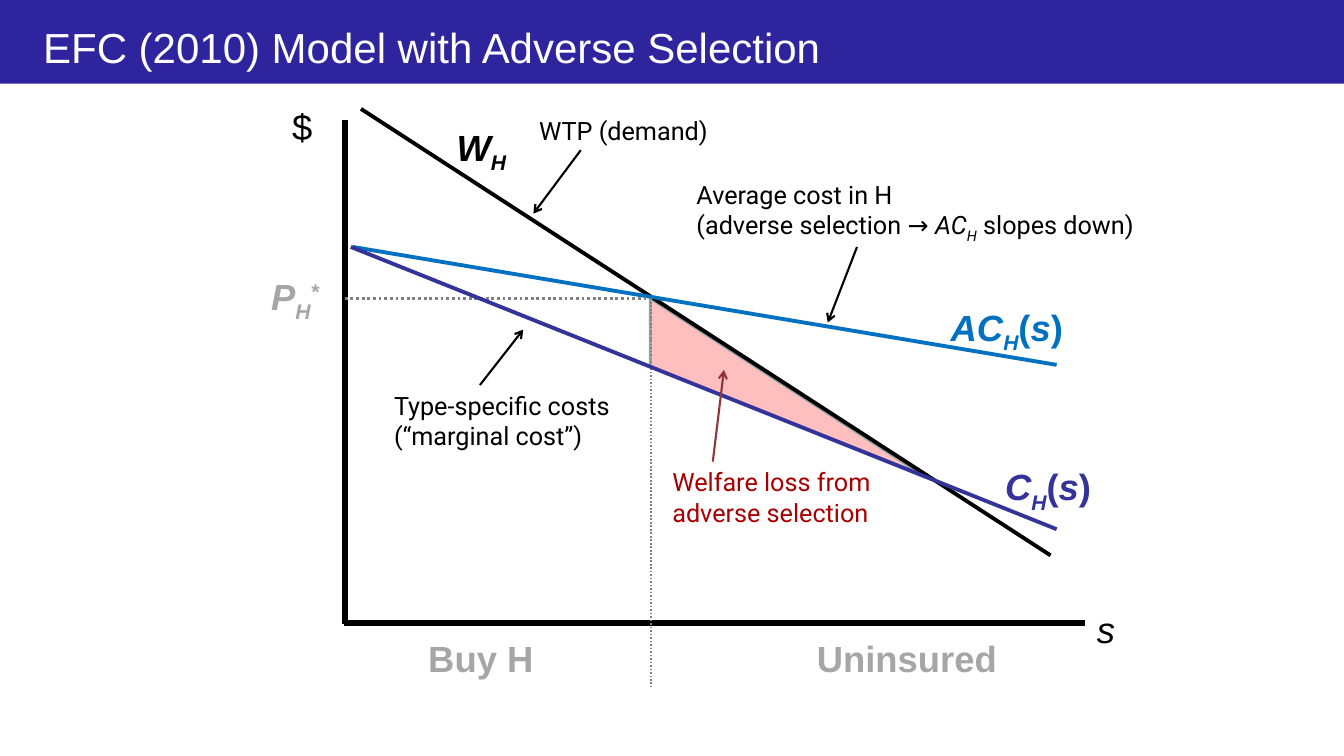
from pptx import Presentation
from pptx.dml.color import RGBColor as RGB
from pptx.enum.dml import MSO_LINE
from pptx.enum.shapes import MSO_CONNECTOR as CONN, MSO_SHAPE as SHAPE
from pptx.enum.text import MSO_ANCHOR as ANCHOR, PP_ALIGN as ALIGN
from pptx.oxml.ns import qn
from pptx.util import Emu, Pt
from lxml.etree import SubElement

PX = 9144  # 100 px to the inch
COLORS = {
    "banner": "2E249E", "white": "FFFFFF", "black": "000000",
    "average": "0070C0", "marginal": "333399", "muted": "A6A6A6",
    "guide": "808080", "loss": "FF0000", "loss_edge": "8AA6A8",
    "loss_text": "A80000", "loss_arrow": "90353B",
}
LABEL = {"name": "Arial", "size": Pt(26)}
CURVE = {**LABEL, "bold": True}
NOTE = {"name": "Roboto", "size": Pt(18)}
ITALIC = {"italic": True}
SUB = {"italic": True, "baseline": -25}
SUPER = {"italic": True, "baseline": 30}
OF_S = [("(", {}), ("s", ITALIC), (")", {})]
SPACED = {"line_spacing": 1.07, "space_after": Pt(8)}


def px(*values):
    return [Emu(v * PX) for v in values]


def rgb(color):
    return RGB.from_string(COLORS[color])


class Canvas:
    def __init__(self, slide, font):
        self.shapes = slide.shapes
        self.font = font

    def rect(self, box, color):
        sp = self.shapes.add_shape(SHAPE.RECTANGLE, *px(*box))
        sp.shadow.inherit = False
        sp.fill.solid()
        sp.fill.fore_color.rgb = rgb(color)
        sp.line.fill.background()

    def area(self, points, color, opacity, edge):
        start, *rest = [px(*point) for point in points]
        builder = self.shapes.build_freeform(*start)
        builder.add_line_segments(rest, close=True)
        sp = builder.convert_to_shape()
        sp.shadow.inherit = False
        sp.fill.solid()
        sp.fill.fore_color.rgb = rgb(color)
        clr = sp._element.spPr.find(".//" + qn("a:srgbClr"))
        SubElement(clr, qn("a:alpha"), val=str(opacity * 1000))
        sp.line.color.rgb = rgb(edge)
        sp.line.width = Pt(2)

    def line(self, start, end, color, width, dash=None, arrow=False):
        sp = self.shapes.add_connector(CONN.STRAIGHT, *px(*start, *end))
        sp.line.color.rgb = rgb(color)
        sp.line.width = Pt(width)
        if dash:
            sp.line.dash_style = dash
        if arrow:
            SubElement(sp.line._get_or_add_ln(), qn("a:tailEnd"), type="arrow")
        SubElement(sp._element.spPr, qn("a:effectLst"))

    def text(self, box, runs, color, font=None, para=None, anchor=ANCHOR.TOP):
        tf = self.shapes.add_textbox(*px(*box)).text_frame
        tf.word_wrap = True
        tf.vertical_anchor = anchor
        p = tf.paragraphs[0]
        for key, value in (para or {}).items():
            setattr(p, key, value)
        if isinstance(runs, str):
            runs = [(runs, {})]
        for words, extra in runs:
            if words == "\n":
                p.add_line_break()
                continue
            r = p.add_run()
            r.text = words
            style = {**(font or self.font), **extra}
            baseline = style.pop("baseline", 0)
            for key, value in style.items():
                setattr(r.font, key, value)
            r.font.color.rgb = rgb(color)
            if baseline:
                r._r.get_or_add_rPr().set("baseline", str(baseline * 1000))


def main():
    prs = Presentation()
    prs.slide_width, prs.slide_height = px(1333, 750)
    s = Canvas(prs.slides.add_slide(prs.slide_layouts[6]), NOTE)

    # Title banner
    s.rect((0, 0, 1333, 83), "banner")
    s.text((33, 17, 1278, 58), "EFC (2010) Model with Adverse Selection",
           "white", {"name": "Arial", "size": Pt(30)}, anchor=ANCHOR.MIDDLE)

    # Welfare loss triangle
    s.area([(645, 296), (645, 364), (915, 471)], "loss", 25, "loss_edge")

    # Axes
    s.line((342, 119), (342, 619), "black", 4)
    s.line((1076, 618), (341, 618), "black", 4)
    s.text((280, 95, 65, 82), "$", "black", LABEL, SPACED)
    s.text((1078, 594, 44, 60), [("s", ITALIC)], "black", LABEL, SPACED)

    # Demand and cost curves, with the equilibrium guides between them
    s.line((1042, 551), (358, 108), "black", 2.75)
    s.line((1048, 362), (350, 245), "average", 2.75)
    s.line((342, 296), (642, 296), "guide", 2, MSO_LINE.ROUND_DOT)
    s.line((646, 296), (646, 682), "guide", 1.25, MSO_LINE.ROUND_DOT)
    s.line((1048, 525), (348, 245), "marginal", 2.75)

    # Curve and price labels
    for box, runs, color in [
        ((443, 119, 251, 54), [("W", ITALIC), ("H", SUB)], "black"),
        ((933, 298, 207, 54), [("AC", ITALIC), ("H", SUB), *OF_S], "average"),
        ((987, 456, 126, 54), [("C", ITALIC), ("H", SUB), *OF_S], "marginal"),
        ((259, 267, 83, 54), [("P", ITALIC), ("H", SUB), ("*", SUPER)], "muted"),
    ]:
        s.text(box, runs, color, CURVE)

    # Market segments
    for left, width, segment in [(395, 164, "Buy H"), (774, 251, "Uninsured")]:
        s.text((left, 626, width, 54), segment, "muted", CURVE,
               {"alignment": ALIGN.CENTER})

    # Notes, each with its arrow
    average_note = [("Average cost in H ", {}), ("\n", {}),
                    ("(adverse selection → ", {}), ("AC", ITALIC),
                    ("H", SUB), (" slopes down)", {})]
    for box, runs, color, start, end, arrow_color in [
        ((525, 109, 234, 40), "WTP (demand)", "black",
         (576, 149), (529, 212), "black"),
        ((681, 173, 466, 71), average_note, "black",
         (850, 245), (821, 320), "black"),
        ((381, 382, 234, 71), "Type-specific costs (“marginal cost”)", "black",
         (476, 382), (519, 327), "black"),
        ((657, 458, 234, 71), "Welfare loss from adverse selection",
         "loss_text", (707, 458), (718, 367), "loss_arrow"),
    ]:
        s.text(box, runs, color)
        s.line(start, end, arrow_color, 1.5, arrow=True)

    prs.save("out.pptx")


if __name__ == "__main__":
    main()
